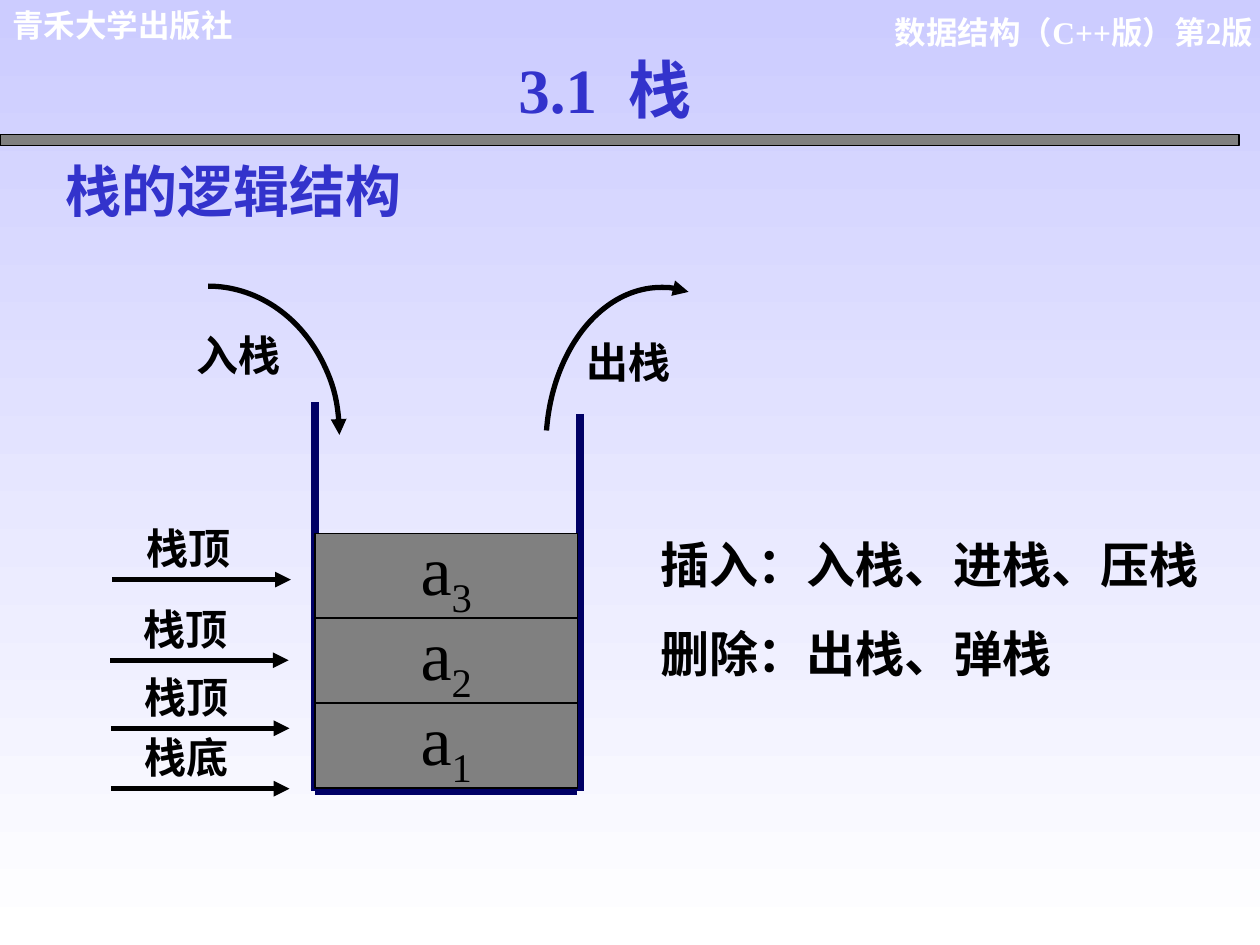
from lxml.etree import SubElement
from pptx import Presentation
from pptx.dml.color import RGBColor
from pptx.enum.shapes import MSO_CONNECTOR, MSO_SHAPE
from pptx.enum.text import MSO_ANCHOR, MSO_AUTO_SIZE, PP_ALIGN
from pptx.oxml.ns import qn
from pptx.util import Pt

BLACK = RGBColor(0, 0, 0)
WHITE = RGBColor(255, 255, 255)
GRAY = RGBColor(0x80, 0x80, 0x80)
NAVY = RGBColor(0, 0, 0x66)
BLUE = RGBColor(0x33, 0x33, 0xCC)
LILAC = RGBColor(0xCC, 0xCC, 0xFF)
SERIF = "Times New Roman"
SANS = "Arial"


def place(shape, box):
    shape.left, shape.top, shape.width, shape.height = [Pt(v) for v in box]


def write(para, text, size, color=BLACK, font=SERIF, bold=True):
    run = para.add_run()
    run.text = text
    run.font.size = Pt(size)
    run.font.name = font
    run.font.bold = bold
    run.font.color.rgb = color
    return run


def frame(shape):
    text = shape.text_frame
    text.word_wrap = True
    text.auto_size = MSO_AUTO_SIZE.NONE
    text.vertical_anchor = MSO_ANCHOR.TOP
    return text


def label(shapes, box, text, size, color=BLACK, font=SERIF, align=PP_ALIGN.LEFT):
    para = frame(shapes.add_textbox(*[Pt(v) for v in box])).paragraphs[0]
    para.alignment = align
    write(para, text, size, color, font)


def line(shapes, x1, y1, x2, y2, color, width):
    link = shapes.add_connector(MSO_CONNECTOR.STRAIGHT, Pt(x1), Pt(y1), Pt(x2), Pt(y2))
    link.line.color.rgb = color
    link.line.width = Pt(width)
    SubElement(link.element.spPr, qn("a:effectLst"))
    return link


def arrow(shape):
    SubElement(shape.element.spPr.get_or_add_ln(), qn("a:tailEnd"), type="triangle")


def block(shapes, box):
    rect = shapes.add_shape(MSO_SHAPE.RECTANGLE, *[Pt(v) for v in box])
    rect.shadow.inherit = False
    rect.fill.solid()
    rect.fill.fore_color.rgb = GRAY
    rect.line.color.rgb = BLACK
    rect.line.width = Pt(0.75)
    return rect


def paint(slide):
    fill = slide.background.fill
    fill.gradient()
    fill.gradient_angle = 270
    for stop, color, pos in zip(fill.gradient_stops, (LILAC, WHITE), (0, 1)):
        stop.color.rgb = color
        stop.position = pos


def header(slide, box):
    x, y, w, h = box
    shapes = slide.shapes
    label(shapes, (x + 460, y + 3.6, 263, 29), "数据结构（C++版）第2版", 18, WHITE,
          align=PP_ALIGN.RIGHT)
    label(shapes, (x, y, 195, 29), "青禾大学出版社", 18, WHITE, SANS)
    block(shapes, (x, y + h - 6, w - 12, 6))
    title = shapes.title
    place(title, (x + 187, y + 25.2, 317.5, 50.4))
    para = frame(title).paragraphs[0]
    para.alignment = PP_ALIGN.CENTER
    run = write(para, "3.1  栈", 36, BLUE)
    effects = SubElement(run.font._element, qn("a:effectLst"))
    run.font._element.find(qn("a:solidFill")).addnext(effects)
    shade = SubElement(effects, qn("a:outerShdw"), dist="25400", dir="2700000")
    SubElement(shade, qn("a:srgbClr"), val="808080")


def stack(slide, box, names):
    x, y, w, h = box
    shapes = slide.shapes
    walls = shapes.add_group_shape().shapes
    end = y + h
    line(walls, x, y, x, end, NAVY, 4.5)
    line(walls, x, end, x + w, end, NAVY, 4.5)
    line(walls, x + w + 1.2, y + 6.5, x + w + 1.2, end, NAVY, 4.5)
    step = 48.6
    for row, name in enumerate(names, 1):
        cell = block(shapes, (x, end - 1.2 - row * step, w, 48.2))
        text = cell.text_frame
        text.word_wrap = False
        text.margin_top = 0
        text.vertical_anchor = MSO_ANCHOR.MIDDLE
        para = text.paragraphs[0]
        para.alignment = PP_ALIGN.CENTER
        write(para, name, 40, bold=False)
        sub = write(para, str(row), 40, bold=False)
        sub.font._element.set("baseline", "-25000")


def move(slide, box, start, end, text, spot):
    arc = slide.shapes.add_shape(MSO_SHAPE.ARC, *[Pt(v) for v in box])
    arc.shadow.inherit = False
    arc.fill.background()
    arc.line.color.rgb = BLACK
    arc.line.width = Pt(3)
    arc.adjustments[0] = start * 0.6
    arc.adjustments[1] = end * 0.6
    arrow(arc)
    label(slide.shapes, (*spot, 70, 36), text, 24)


def mark(slide, x, y, text):
    shapes = slide.shapes.add_group_shape().shapes
    arrow(line(shapes, x, y, x + 102, y, BLACK, 3))
    label(shapes, (x + 12.2, y - 36, 72, 36), text, 24)


def notes(slide, box, lines):
    body = slide.placeholders[1]
    place(body, box)
    text = frame(body)
    for row, words in enumerate(lines):
        para = text.add_paragraph() if row else text.paragraphs[0]
        para.space_before = Pt(17.5)
        props = para._p.get_or_add_pPr()
        props.set("marL", "0")
        props.set("indent", "0")
        SubElement(props, qn("a:buNone"))
        write(para, words, 28)


def main():
    deck = Presentation()
    deck.slide_width, deck.slide_height = Pt(720), Pt(540)
    slide = deck.slides.add_slide(deck.slide_layouts[1])
    paint(slide)
    header(slide, (0, 0, 720, 83))
    label(slide.shapes, (30.2, 85.7, 402, 46), "栈的逻辑结构", 32, BLUE)
    stack(slide, (180, 230, 150, 222), "aaa")
    move(slide, (44, 163.5, 150, 170), 270, 0, "入栈", (105, 185))
    move(slide, (312, 164.2, 131.8, 182), 188, 280, "出栈", (328.3, 188.6))
    for x, y, text in ((63.4, 450.7, "栈底"), (63.4, 416.2, "栈顶"),
                       (63, 377.3, "栈顶"), (64.2, 331.2, "栈顶")):
        mark(slide, x, y, text)
    notes(slide, (370, 301.7, 325, 92), ("插入：入栈、进栈、压栈", "删除：出栈、弹栈"))
    deck.save("out.pptx")


if __name__ == "__main__":
    main()
